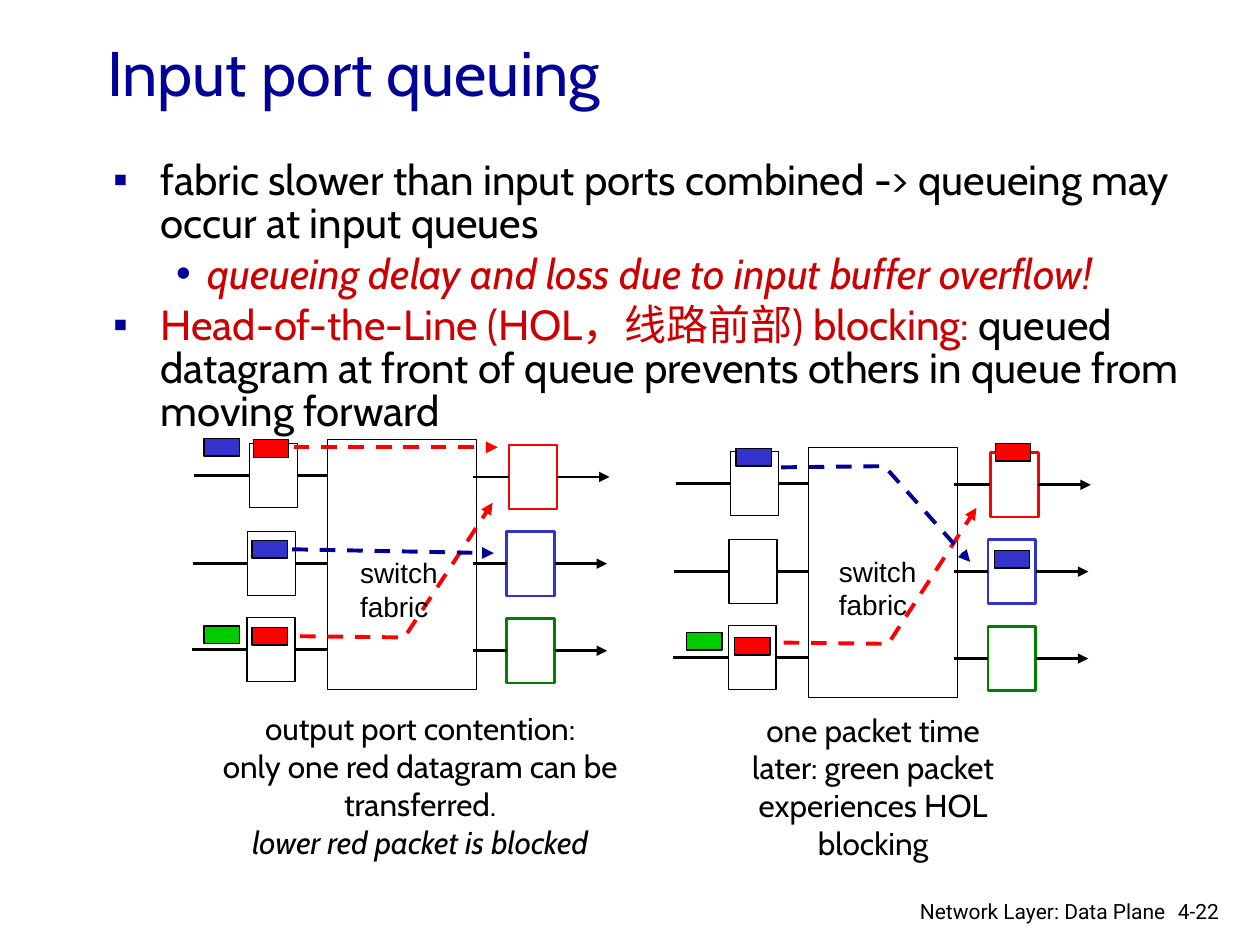
"""Build the slide on input port queuing and head-of-the-line blocking."""
import pptx
import pptx.util
import pptx.dml.color
import pptx.enum.dml
import pptx.enum.shapes
import pptx.enum.text
import pptx.oxml.ns
import lxml.etree

Pt = pptx.util.Pt
RGBColor = pptx.dml.color.RGBColor
PP_ALIGN = pptx.enum.text.PP_ALIGN
ANCHOR = pptx.enum.text.MSO_ANCHOR
RECT = pptx.enum.shapes.MSO_SHAPE.RECTANGLE
STRAIGHT = pptx.enum.shapes.MSO_CONNECTOR.STRAIGHT
DASH = pptx.enum.dml.MSO_LINE.DASH
qn = pptx.oxml.ns.qn

BLACK = RGBColor(0x00, 0x00, 0x00)
WHITE = RGBColor(0xFF, 0xFF, 0xFF)
NAVY = RGBColor(0x00, 0x00, 0x99)
CRIMSON = RGBColor(0xCC, 0x00, 0x00)
RED = RGBColor(0xFF, 0x00, 0x00)
BLUE = RGBColor(0x33, 0x33, 0xCC)
GREEN = RGBColor(0x00, 0xCC, 0x00)
DARK_GREEN = RGBColor(0x00, 0x80, 0x00)


def add_run(p, text, font="Cabin", size=18, color=BLACK, italic=False):
    r = p.add_run()
    r.text = text
    r.font.name = font
    r.font.size = Pt(size)
    r.font.color.rgb = color
    r.font.italic = italic


def stroke(sp, color=BLACK, width=1.5, dash=None, arrow=False):
    sp.line.color.rgb = color
    sp.line.width = Pt(width)
    if dash:
        sp.line.dash_style = dash
    spPr = sp._element.spPr
    if arrow:
        lxml.etree.SubElement(spPr.find(qn("a:ln")), qn("a:tailEnd"), type="triangle")
    lxml.etree.SubElement(spPr, qn("a:effectLst"))


prs = pptx.Presentation()
prs.slide_width, prs.slide_height = Pt(720), Pt(540)
s = prs.slides.add_slide(prs.slide_layouts[5])

title = s.shapes.title
title.left, title.top, title.width, title.height = Pt(54), Pt(23), Pt(612), Pt(36)
tf = title.text_frame
tf.vertical_anchor = ANCHOR.MIDDLE
tf.paragraphs[0].alignment = PP_ALIGN.LEFT
add_run(tf.paragraphs[0], "Input port queuing", size=36, color=NAVY)

bullets = [
    ("▪", 27, 27, [("fabric slower than input ports combined -> queueing may occur at input queues", {})]),
    ("•", 54, 18, [("queueing delay and loss due to input buffer overflow!",
                    {"color": CRIMSON, "italic": True})]),
    ("▪", 27, 27, [("Head-of-the-Line (HOL，线路前部) blocking:", {"color": CRIMSON}),
                   (" queued datagram at front of queue prevents others in queue from moving forward", {})]),
]
tf = s.shapes.add_textbox(Pt(57.6), Pt(88.6), Pt(638), Pt(209)).text_frame
tf.word_wrap = True
for i, (mark, margin, hang, runs) in enumerate(bullets):
    p = tf.add_paragraph() if i else tf.paragraphs[0]
    p.level = int(mark == "•")
    pPr = p._p.get_or_add_pPr()
    pPr.set("marL", str(Pt(margin)))
    pPr.set("indent", str(-Pt(hang)))
    bu_color = lxml.etree.SubElement(pPr, qn("a:buClr"))
    lxml.etree.SubElement(bu_color, qn("a:srgbClr"), val=str(NAVY))
    lxml.etree.SubElement(pPr, qn("a:buFont"), typeface="Arial")
    lxml.etree.SubElement(pPr, qn("a:buChar"), char=mark)
    p.line_spacing = 0.85
    p.space_before = Pt(4.8 if i else 0)
    for text, fmt in runs:
        add_run(p, text, size=24, **fmt)

input_ports = [(142.6, 253.4), (141.6, 303.8), (141.1, 352.8)]
output_ports = [(290.9, 254.2, RED), (289.5, 303.8, BLUE), (289.5, 353.5, DARK_GREEN)]
panels = [
    {"dx": 0, "dy": 0,
     "paths": [(RED, [(167.8, 255.6), (284.4, 255.6)]),
               (RED, [(171.4, 363.6), (231.1, 364.3), (281.5, 287.3)]),
               (NAVY, [(167, 313.9), (282.2, 316.1)])],
     "packets": [(RED, 144.7, 251.3), (BLUE, 144, 308.9), (RED, 144, 358.6),
                 (BLUE, 116.6, 250.6), (GREEN, 116.6, 357.8)]},
    {"dx": 275, "dy": 4.5,
     "paths": [(RED, [(447.8, 367.2), (507.6, 367.9), (558, 290.2)]),
               (NAVY, [(446.4, 267.1), (505.4, 266.4), (554.4, 321.1)])],
     "packets": [(RED, 568.8, 253.4), (BLUE, 420.5, 256.3), (RED, 419.8, 364.3),
                 (GREEN, 392.4, 361.4), (BLUE, 568.1, 314.6)]},
]
PORT_W, PORT_H = 27.4, 36.7
for panel in panels:
    dx, dy = panel["dx"], panel["dy"]
    rects = [(187.2 + dx, 251.3 + dy, 85, 142.6, WHITE, BLACK, 0.75)]
    rects += [(x + dx, y + dy, PORT_W, PORT_H, WHITE, BLACK, 0.75) for x, y in input_ports]
    rects += [(x + dx, y + dy, PORT_W, PORT_H, WHITE, color, 1.5) for x, y, color in output_ports]
    rects += [(x, y, 20.2, 10.1, color, BLACK, 0.75) for color, x, y in panel["packets"]]
    shapes = []
    for x, y, w, h, fill, line, width in rects:
        sp = s.shapes.add_shape(RECT, Pt(x), Pt(y), Pt(w), Pt(h))
        sp.fill.solid()
        sp.fill.fore_color.rgb = fill
        stroke(sp, line, width)
        shapes.append(sp)

    for port in shapes[1:7]:
        is_output = port in shapes[4:7]
        mid = port.top + port.height // 2
        right = port.left + port.width
        before = Pt(270 + dx) if is_output else port.left - Pt(31.5)
        after = right + Pt(30) if is_output else Pt(187 + dx)
        wire_in = s.shapes.add_connector(STRAIGHT, before, mid, port.left, mid)
        wire_in.end_connect(port, 1)
        stroke(wire_in)
        wire_out = s.shapes.add_connector(STRAIGHT, right, mid, after, mid)
        wire_out.begin_connect(port, 3)
        stroke(wire_out, arrow=is_output)

    for color, points in panel["paths"]:
        pts = [(Pt(x), Pt(y)) for x, y in points]
        if len(pts) == 2:
            sp = s.shapes.add_connector(STRAIGHT, *pts[0], *pts[1])
        else:
            builder = s.shapes.build_freeform(*pts[0])
            builder.add_line_segments(pts[1:], close=False)
            sp = builder.convert_to_shape()
            sp.fill.background()
        stroke(sp, color, 2.25, DASH, True)

fabric = {"font": "Arial", "size": 16}
footer = {"font": "Roboto", "size": 12}
label = [[("switch", fabric)], [("fabric", fabric)]]
texts = [
    (198.7, 313.9, 59, 46, PP_ALIGN.LEFT, False, label),
    (472.3, 313.2, 59, 46, PP_ALIGN.LEFT, False, label),
    (106.6, 401.8, 267, 93.6, PP_ALIGN.CENTER, True,
     [[("output port contention:", {})],
      [("only one red datagram can be transferred.\n", {}),
       ("lower red packet is blocked", {"italic": True})]]),
    (411.1, 402.5, 175.7, 93.6, PP_ALIGN.CENTER, True,
     [[("one packet time later: green packet experiences HOL blocking", {})]]),
    (666, 509.8, 44, 21.6, PP_ALIGN.LEFT, True, [[("4-22", footer)]]),
    (501.8, 509.8, 171.4, 18.7, PP_ALIGN.RIGHT, True, [[("Network Layer: Data Plane", footer)]]),
]
for x, y, w, h, align, wrap, paragraphs in texts:
    tf = s.shapes.add_textbox(Pt(x), Pt(y), Pt(w), Pt(h)).text_frame
    tf.word_wrap = wrap
    for i, runs in enumerate(paragraphs):
        p = tf.add_paragraph() if i else tf.paragraphs[0]
        p.alignment = align
        for text, fmt in runs:
            add_run(p, text.rstrip("\n"), **fmt)
            if text.endswith("\n"):
                p.add_line_break()

prs.save("out.pptx")
